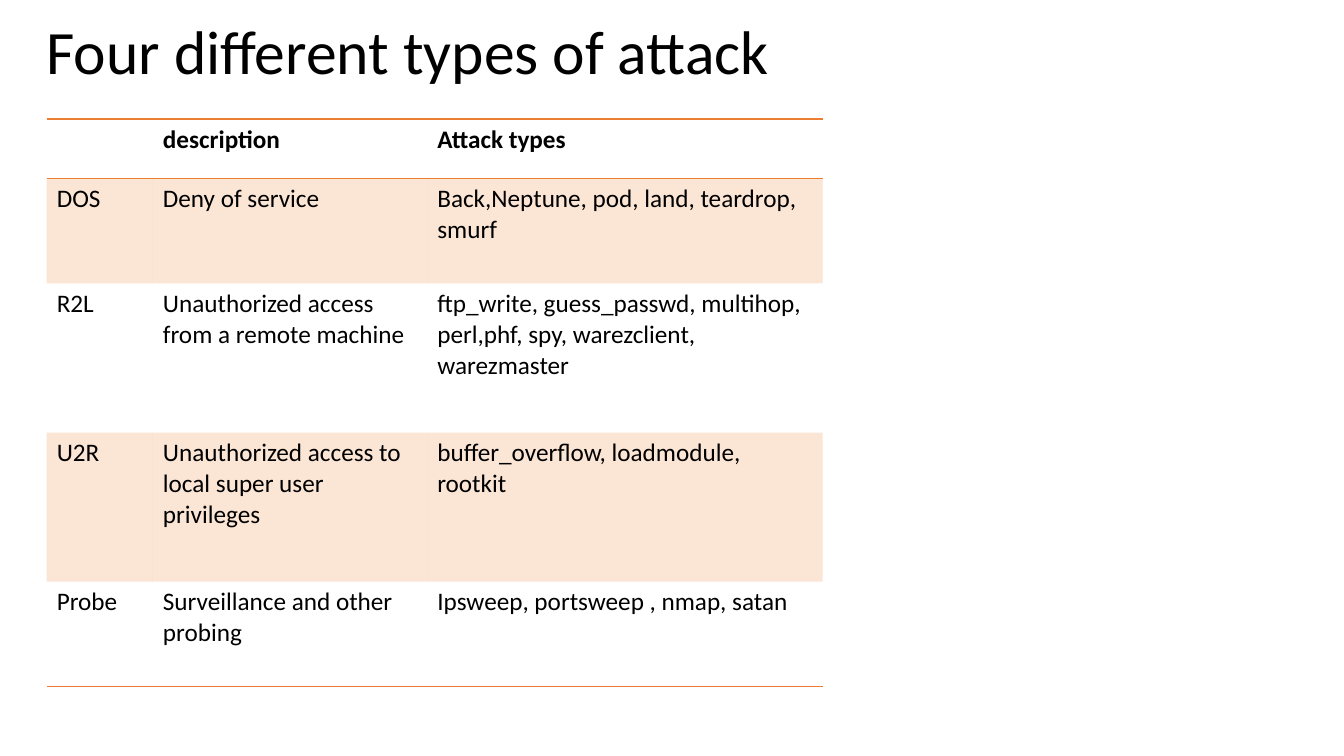
from lxml import etree
from pptx import Presentation
from pptx.dml.color import RGBColor
from pptx.enum import text
from pptx.oxml import ns
from pptx.util import Pt

# Content
TITLE = "Four different types of attack"
ROWS = [
    ("", "description", "Attack types"),
    ("DOS", "Deny of service", "Back,Neptune, pod, land, teardrop, smurf"),
    ("R2L", "Unauthorized access from a remote machine",
     "ftp_write, guess_passwd, multihop, perl,phf, spy, warezclient, warezmaster"),
    ("U2R", "Unauthorized access to local super user privileges",
     "buffer_overflow, loadmodule, rootkit"),
    ("Probe", "Surveillance and other probing", "Ipsweep, portsweep , nmap, satan"),
]

# Layout in points
SLIDE = (960, 540)
TITLE_BOX = (26, -13, 828, 104.4)
TABLE_AT = (33.4, 85)
COL_WIDTHS = (75.8, 196, 282.4)
ROW_HEIGHTS = (42.5, 75, 106.5, 106.5, 75)

FONT = "Calibri"
BLACK = RGBColor(0, 0, 0)
ORANGE = RGBColor(0xED, 0x7D, 0x31)
BAND_ALPHA = 20
NO_STYLE = "{2D5ABB26-0587-4C30-8999-92F81FD0307C}"


def add_run(p, content, size, bold=False):
    r = p.add_run()
    r.text = content
    r.font.name, r.font.size, r.font.bold = FONT, Pt(size), bold
    r.font.color.rgb = BLACK


def add_border(cell, tag):
    """Put an orange rule on one edge; borders come before the fill."""
    ln = etree.Element(ns.qn(tag), w=str(Pt(1)))
    fill = etree.SubElement(ln, ns.qn("a:solidFill"))
    etree.SubElement(fill, ns.qn("a:srgbClr"), val=str(ORANGE))
    cell._tc.get_or_add_tcPr().insert(0, ln)


def fill_band(cell):
    cell.fill.solid()
    cell.fill.fore_color.rgb = ORANGE
    color = cell._tc.tcPr.find(".//" + ns.qn("a:srgbClr"))
    etree.SubElement(color, ns.qn("a:alpha"), val=str(BAND_ALPHA * 1000))


def build_title(s):
    sp = s.shapes.title
    sp.left, sp.top, sp.width, sp.height = map(Pt, TITLE_BOX)
    tf = sp.text_frame
    tf.word_wrap = True
    tf.auto_size = text.MSO_AUTO_SIZE.NONE
    tf.vertical_anchor = text.MSO_ANCHOR.MIDDLE
    p = tf.paragraphs[0]
    p.alignment = text.PP_ALIGN.LEFT
    p.line_spacing = 0.9
    add_run(p, TITLE, 44)


def build_table(s):
    size = (sum(COL_WIDTHS), sum(ROW_HEIGHTS))
    frame = s.shapes.add_table(len(ROWS), len(COL_WIDTHS), *map(Pt, TABLE_AT + size))
    table = frame.table
    table._tbl.tblPr.find(ns.qn("a:tableStyleId")).text = NO_STYLE
    for col, width in zip(table.columns, COL_WIDTHS):
        col.width = Pt(width)
    for i, (row, height) in enumerate(zip(table.rows, ROW_HEIGHTS)):
        row.height = Pt(height)
        for cell, content in zip(row.cells, ROWS[i]):
            if content:
                add_run(cell.text_frame.paragraphs[0], content, 18, bold=i == 0)
            # Odd rows are shaded
            if i % 2:
                fill_band(cell)
            else:
                cell.fill.background()
            # Rules around the header and under the last row
            if i in (0, len(ROWS) - 1):
                add_border(cell, "a:lnB")
            if i == 0:
                add_border(cell, "a:lnT")


def main():
    prs = Presentation()
    prs.slide_width, prs.slide_height = map(Pt, SLIDE)
    s = prs.slides.add_slide(prs.slide_layouts[5])
    build_title(s)
    build_table(s)
    prs.save("out.pptx")


if __name__ == "__main__":
    main()
